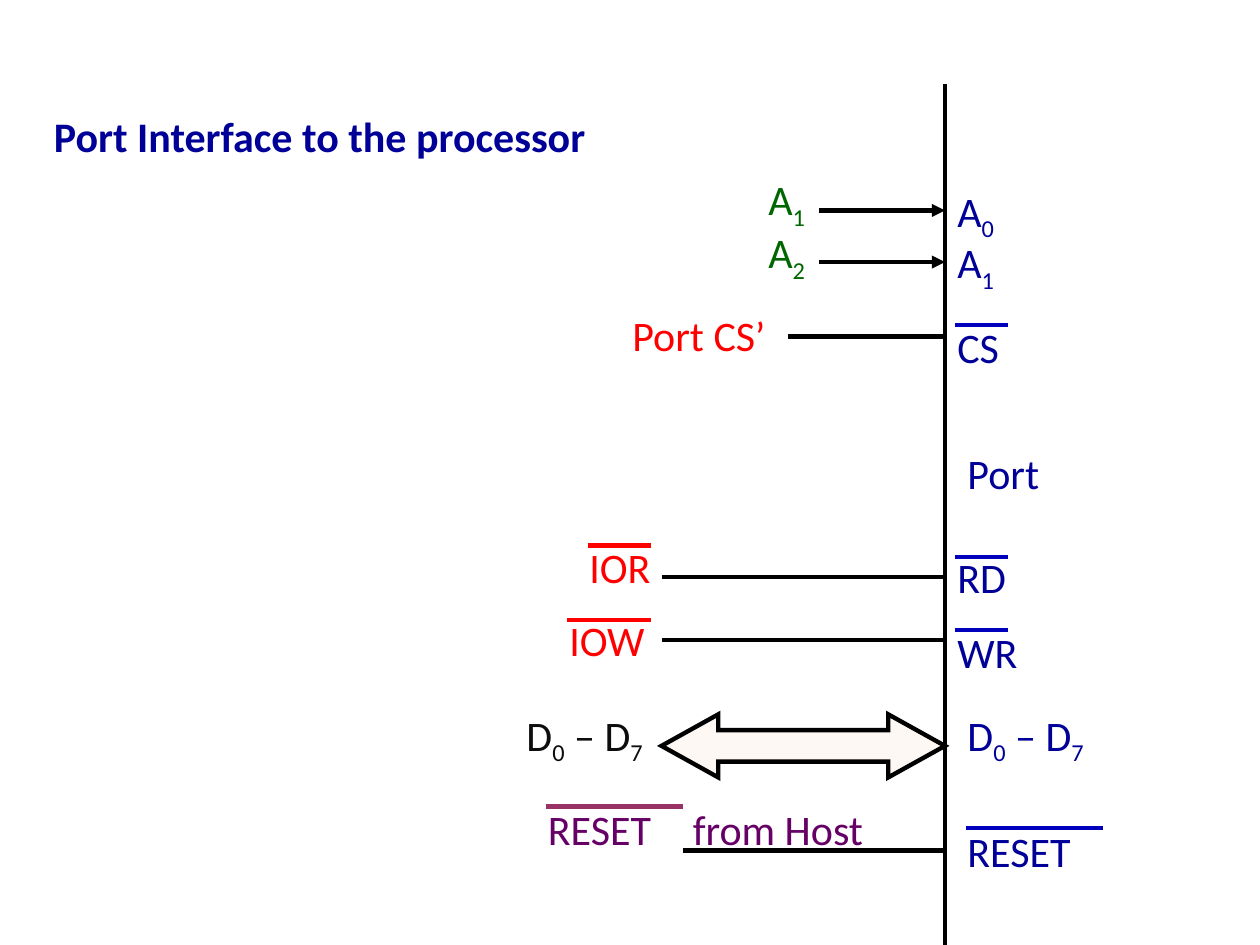
from dataclasses import dataclass

from lxml.etree import SubElement
from pptx import Presentation
from pptx.dml.color import RGBColor
from pptx.enum.shapes import MSO_CONNECTOR, MSO_SHAPE
from pptx.enum.text import MSO_AUTO_SIZE
from pptx.oxml.ns import qn
from pptx.util import Inches, Pt


@dataclass(frozen=True)
class Theme:
    font: str = "Calibri"
    text_size: int = 24
    line_width: float = 2.5
    subscript: int = -25000
    black: str = "000000"
    navy: str = "000099"
    blue: str = "0000BC"
    green: str = "006600"
    red: str = "FF0000"
    ink: str = "0D0D0D"
    purple: str = "660066"
    plum: str = "993366"
    orange: str = "ED7D31"


class Diagram:
    def __init__(self, page, theme):
        self.page = page
        self.theme = theme

    def label(self, left, top, width, text, color, bold=False, tab=None):
        """Add a label; parts between underscores are subscripts."""
        box = self.page.shapes.add_textbox(
            Inches(left), Inches(top), Inches(width), Inches(0.5))
        frame = box.text_frame
        frame.word_wrap = True
        frame.auto_size = MSO_AUTO_SIZE.SHAPE_TO_FIT_TEXT
        para = frame.paragraphs[0]
        if tab:
            stops = SubElement(para._p.get_or_add_pPr(), qn("a:tabLst"))
            SubElement(stops, qn("a:tab"), pos=str(Inches(tab)), algn="l")
        for index, part in enumerate(text.split("_")):
            if not part:
                continue
            span = para.add_run()
            span.text = part
            span.font.name = self.theme.font
            span.font.size = Pt(self.theme.text_size)
            span.font.bold = bold
            span.font.color.rgb = RGBColor.from_string(color)
            if index % 2:
                properties = span._r.get_or_add_rPr()
                properties.set("baseline", str(self.theme.subscript))

    def line(self, start, end, color, arrow=False):
        line = self.page.shapes.add_connector(
            MSO_CONNECTOR.STRAIGHT, *(Inches(value) for value in start + end))
        line.line.color.rgb = RGBColor.from_string(color)
        line.line.width = Pt(self.theme.line_width)
        if arrow:
            SubElement(line.line._get_or_add_ln(), qn("a:tailEnd"), type="triangle")
        SubElement(line._element.spPr, qn("a:effectLst"))

    def wire(self, left, right, top, color, arrow=False):
        self.line((left, top), (right, top), color, arrow)

    def bus(self, left, top, width, height):
        arrow = self.page.shapes.add_shape(
            MSO_SHAPE.LEFT_RIGHT_ARROW,
            Inches(left), Inches(top), Inches(width), Inches(height))
        arrow.shadow.inherit = False
        arrow.adjustments[0] = 0.5
        arrow.adjustments[1] = 0.9
        arrow.fill.solid()
        arrow.fill.fore_color.rgb = RGBColor.from_string(self.theme.orange)
        tint = arrow._element.spPr.find(qn("a:solidFill")).find(qn("a:srgbClr"))
        SubElement(tint, qn("a:alpha"), val="5000")
        arrow.line.color.rgb = RGBColor.from_string(self.theme.black)
        arrow.line.width = Pt(self.theme.line_width)
        SubElement(arrow.line._get_or_add_ln(), qn("a:miter"), lim="800000")


theme = Theme()
deck = Presentation()
deck.slide_width, deck.slide_height = Inches(10), Inches(7.5)
page = deck.slides.add_slide(deck.slide_layouts[6])
diagram = Diagram(page, theme)
chip_edge = 7.5

# Title and chip edge
diagram.label(0.33, 0.83, 6.92, "Port Interface to the processor", theme.navy, bold=True)
diagram.line((chip_edge, 0.67), (chip_edge, 7.5), theme.black)

# Signal wires: left end, height, arrowhead
for left, top, arrow in [
    (6.5, 1.67, True),
    (6.5, 2.08, True),
    (6.25, 2.67, False),
    (5.25, 4.58, False),
    (5.25, 5.08, False),
    (5.42, 6.75, False),
]:
    diagram.wire(left, chip_edge, top, theme.black, arrow)

# Data bus
diagram.bus(5.25, 5.67, 2.25, 0.5)

# Chip pins
for left, top, width, text in [
    (7.5, 1.42, 0.58, "A_0_"),
    (7.5, 1.83, 0.58, "A_1_"),
    (7.5, 2.5, 1.17, "CS"),
    (7.58, 3.5, 2.08, "Port"),
    (7.5, 4.33, 1.17, "RD"),
    (7.5, 4.92, 1.17, "WR"),
    (7.58, 5.58, 1.58, "D_0_ – D_7_"),
    (7.58, 6.5, 1.58, "RESET"),
]:
    diagram.label(left, top, width, text, theme.navy)

# Processor signals
for left, top, width, text, color in [
    (6, 1.33, 0.58, "A_1_", theme.green),
    (6, 1.75, 0.58, "A_2_", theme.green),
    (4.92, 2.41, 1.52, "Port CS’", theme.red),
    (4.58, 4.25, 1.17, "IOR", theme.red),
    (4.42, 4.83, 1.17, "IOW", theme.red),
    (4.08, 5.58, 1.58, "D_0_ – D_7_", theme.ink),
]:
    diagram.label(left, top, width, text, color)
diagram.label(4.25, 6.33, 3.08, "RESET\tfrom Host", theme.purple, tab=1.15)

# Bars over active-low names
for left, right, top, color in [
    (7.58, 8, 2.58, theme.blue),
    (7.58, 8, 4.42, theme.blue),
    (7.58, 8, 5, theme.blue),
    (7.67, 8.75, 6.57, theme.blue),
    (4.67, 5.17, 4.33, theme.red),
    (4.5, 5.17, 4.92, theme.red),
    (4.33, 5.42, 6.4, theme.plum),
]:
    diagram.wire(left, right, top, color)

deck.save("out.pptx")
